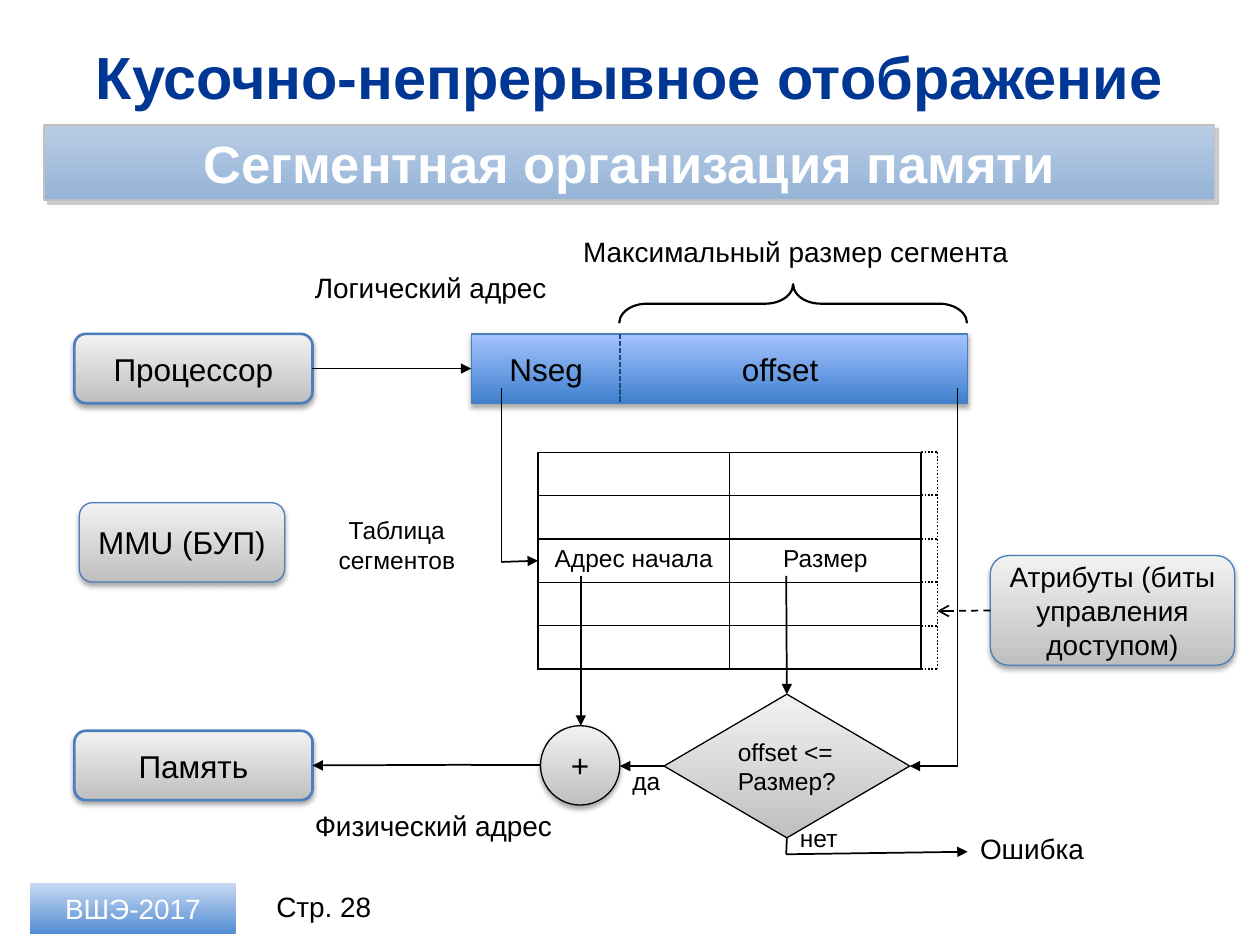
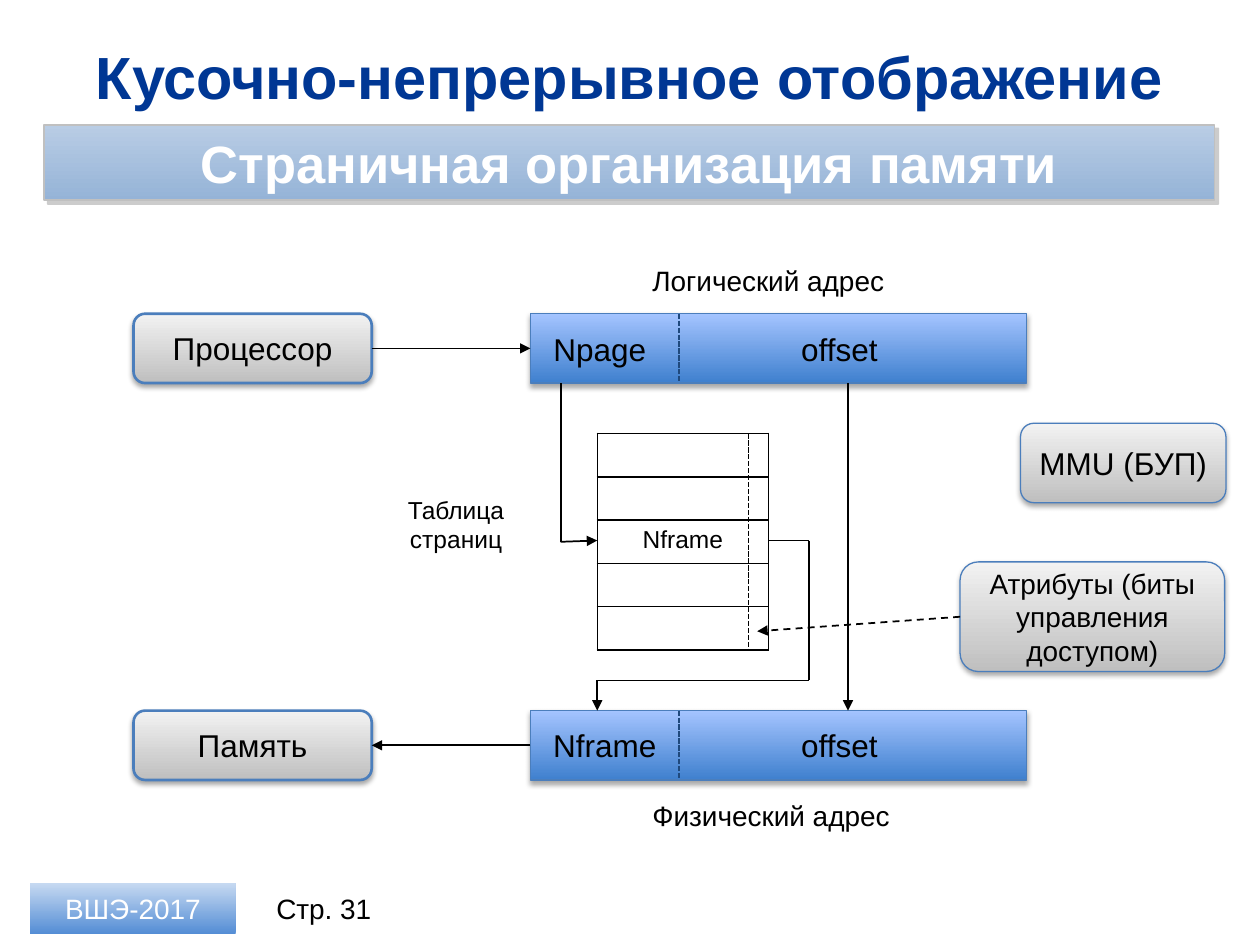
from dataclasses import dataclass
from itertools import pairwise

from lxml import etree
from pptx import Presentation
from pptx import util as u
from pptx.dml.color import RGBColor
from pptx.enum import dml, shapes, text
from pptx.oxml.ns import qn
from pptx.shapes.autoshape import Shape
from pptx.shapes.connector import Connector
from pptx.slide import Slide

PX = 9144  # 100 px to the inch
FONT = "Arial"
BLACK = RGBColor(0x00, 0x00, 0x00)
WHITE = RGBColor(0xFF, 0xFF, 0xFF)
NAVY = RGBColor(0x00, 0x37, 0x94)
DIVIDER = RGBColor(0x1F, 0x49, 0x7D)
OUTLINE = RGBColor(0x4B, 0x7E, 0xBC)
SILVER = RGBColor(0xC0, 0xC0, 0xC0)
# Gradients run from bottom to top
GREY_FADE = (RGBColor(0xBF, 0xBF, 0xBF), RGBColor(0xF2, 0xF2, 0xF2))
BLUE_FADE = (RGBColor(0x3F, 0x80, 0xCE), RGBColor(0xA4, 0xC4, 0xFF))
BAND_FADE = (RGBColor(0x95, 0xB3, 0xD7), RGBColor(0xB9, 0xCD, 0xE5))
FOOTER_FADE = (RGBColor(0x55, 0x8E, 0xD5), RGBColor(0xC6, 0xD9, 0xF1))

LEFT, CENTER = text.PP_ALIGN.LEFT, text.PP_ALIGN.CENTER
TOP_SIDE, LEFT_SIDE, BOTTOM_SIDE, RIGHT_SIDE = range(4)
KIND = shapes.MSO_SHAPE
DASH = dml.MSO_LINE
Point = tuple[int, int]


@dataclass(frozen=True)
class Shadow:
    color: str
    opacity: int
    blur: float
    distance: float
    angle: int


SOFT = Shadow("000000", 35, 3.1, 1.8, 90)
HARD = Shadow("808080", 40, 0, 3, 45)


@dataclass(frozen=True)
class Node:
    caption: str
    x: int
    y: int
    w: int
    h: int
    size: int = 18
    kind: KIND = KIND.ROUNDED_RECTANGLE
    fade: tuple[RGBColor, RGBColor] = GREY_FADE
    outline: RGBColor | None = OUTLINE
    weight: float = 0.75
    shadow: Shadow | None = SOFT
    color: RGBColor = BLACK
    bold: bool = False
    align: text.PP_ALIGN = CENTER


@dataclass(frozen=True)
class Label:
    caption: str
    x: int
    y: int
    w: int
    h: int = 37
    size: int = 16
    align: text.PP_ALIGN = LEFT


def px(*lengths: int) -> list[u.Emu]:
    return [u.Emu(length * PX) for length in lengths]


def write(frame, caption: str, size: int, color=BLACK, bold=False, align=LEFT) -> None:
    paragraph = frame.paragraphs[0]
    paragraph.alignment = align
    for number, line in enumerate(caption.split("\n")):
        if number:
            paragraph.add_line_break()
        run = paragraph.add_run()
        run.text = line
        run.font.name, run.font.size = FONT, u.Pt(size)
        run.font.bold, run.font.color.rgb = bold, color


def cast_shadow(shape: Shape, shadow: Shadow) -> None:
    effects = shape._element.spPr.find(qn("a:effectLst"))
    outer = etree.SubElement(
        effects, qn("a:outerShdw"), blurRad=str(u.Pt(shadow.blur)),
        dist=str(u.Pt(shadow.distance)), dir=str(shadow.angle * 60000),
        algn="ctr", rotWithShape="0")
    color = etree.SubElement(outer, qn("a:srgbClr"), val=shadow.color)
    etree.SubElement(color, qn("a:alpha"), val=str(shadow.opacity * 1000))


def draw_node(slide: Slide, node: Node) -> Shape:
    shape = slide.shapes.add_shape(node.kind, *px(node.x, node.y, node.w, node.h))
    shape.fill.gradient()
    shape.fill.gradient_angle = 90
    for stop, color in zip(shape.fill.gradient_stops, node.fade):
        stop.color.rgb = color
    if node.outline is None:
        shape.line.fill.background()
    else:
        shape.line.color.rgb = node.outline
        shape.line.width = u.Pt(node.weight)
    shape.shadow.inherit = False
    if node.shadow:
        cast_shadow(shape, node.shadow)
    if node.caption:
        shape.text_frame.vertical_anchor = text.MSO_ANCHOR.MIDDLE
        write(shape.text_frame, node.caption, node.size, node.color, node.bold, node.align)
    return shape


def draw_label(slide: Slide, label: Label, anchor=text.MSO_ANCHOR.TOP) -> None:
    frame = slide.shapes.add_textbox(*px(label.x, label.y, label.w, label.h)).text_frame
    frame.word_wrap = True
    frame.vertical_anchor = anchor
    write(frame, label.caption, label.size, align=label.align)


def draw_line(slide: Slide, start: Point, end: Point, head: str = "",
              dash: DASH | None = None, color: RGBColor = BLACK) -> Connector:
    line = slide.shapes.add_connector(shapes.MSO_CONNECTOR.STRAIGHT, *px(*start, *end))
    line.line.color.rgb = color
    line.line.width = u.Pt(1)
    if dash:
        line.line.dash_style = dash
    if head:
        etree.SubElement(line.line._get_or_add_ln(), qn("a:tailEnd"), type=head)
    etree.SubElement(line._element.spPr, qn("a:effectLst"))
    return line


def draw_route(slide: Slide, *points: Point, head: str = "triangle") -> list[Connector]:
    """Chain straight lines through the points; only the last has a head."""
    legs = list(pairwise(points))
    return [draw_line(slide, *leg, head if leg is legs[-1] else "") for leg in legs]


def draw_rows(slide: Slide, caption: str, x: int, y: int, w: int) -> None:
    """A one-column table of five rows with the entry in the middle row."""
    table = slide.shapes.add_table(5, 1, *px(x, y, w, 172)).table
    table.first_row = table.horz_banding = False
    for number, row in enumerate(table.rows):
        cell = row.cells[0]
        if number == 2:
            write(cell.text_frame, caption, 14, align=CENTER)
        else:
            paragraph = cell.text_frame.paragraphs[0]._p
            etree.SubElement(paragraph, qn("a:endParaRPr"), sz="1400")
        properties = cell._tc.get_or_add_tcPr()
        for side in ("lnL", "lnR", "lnT", "lnB"):
            border = etree.SubElement(properties, qn(f"a:{side}"), w=str(u.Pt(1)))
            fill = etree.SubElement(border, qn("a:solidFill"))
            etree.SubElement(fill, qn("a:srgbClr"), val=str(BLACK))
        cell.fill.background()


def draw_address(slide: Slide, field: Label, x: int, y: int) -> Shape:
    """Address word: a named field and an offset, parted by a dashed line."""
    word = draw_node(slide, Node("", x, y, 394, 55, kind=KIND.RECTANGLE, fade=BLUE_FADE))
    draw_line(slide, (x + 118, y), (x + 118, y + 55), dash=DASH.SQUARE_DOT, color=DIVIDER)
    draw_label(slide, Label("offset", x + 205, field.y, 87, 40, 18))
    draw_label(slide, field)
    return word


def start_slide(prs, subtitle: str, page: int, page_top: int) -> Slide:
    """Title, subtitle band and footer."""
    slide = prs.slides.add_slide(prs.slide_layouts[5])
    title = slide.shapes.title
    title.left, title.top, title.width, title.height = px(35, 26, 929, 68)
    title.text_frame.vertical_anchor = text.MSO_ANCHOR.MIDDLE
    title.text_frame.auto_size = text.MSO_AUTO_SIZE.NONE
    write(title.text_frame, "Кусочно-непрерывное отображение", 34, NAVY, True, CENTER)
    draw_label(slide, Label(f"Стр. {page}", 203, page_top, 108, 40, align=CENTER),
               text.MSO_ANCHOR.MIDDLE)
    draw_node(slide, Node("ВШЭ-2017", 24, 701, 163, 40, 16, KIND.RECTANGLE, FOOTER_FADE,
                          outline=None, shadow=None, color=WHITE))
    draw_node(slide, Node(subtitle, 35, 99, 929, 60, 30, KIND.RECTANGLE, BAND_FADE,
                          SILVER, 1, HARD, WHITE, True))
    return slide


def draw_machine(slide: Slide, field: Label, table_name: str, x: int, y: int):
    """Processor, memory and logical address; returns memory and address."""
    processor, memory = [
        draw_node(slide, Node(caption, x, top, 189, 55, weight=1.5))
        for caption, top in (("Процессор", y), ("Память", y + 315))]
    address = draw_address(slide, field, x + 315, y)
    request = draw_line(slide, (x + 189, y + 27), (x + 315, y + 27), "triangle")
    request.begin_connect(processor, RIGHT_SIDE)
    request.end_connect(address, LEFT_SIDE)
    draw_label(slide, Label(f"Таблица\n{table_name}", x + 181, y + 139, 150, 57, 14, CENTER))
    return memory, address


def draw_control(slide: Slide, mmu: Point, attributes: Point, width: int,
                 target: Point, head: str) -> None:
    """MMU box and the attributes box with its dashed pointer."""
    draw_node(slide, Node("MMU (БУП)", *mmu, 163, 63))
    bits = draw_node(slide, Node("Атрибуты (биты управления доступом)",
                                 *attributes, width, 87, 16))
    pointer = draw_line(slide, attributes, target, head, DASH.DASH)
    pointer.begin_connect(bits, LEFT_SIDE)


def build_segments(prs) -> None:
    slide = start_slide(prs, "Сегментная организация памяти", 28, 699)
    memory, _ = draw_machine(
        slide, Label("Nseg", 390, 273, 87, 40, 18, CENTER), "сегментов", 59, 265)

    # Segment table with its dotted attribute column
    for caption, left in (("Адрес начала", 427), ("Размер", 579)):
        draw_rows(slide, caption, left, 359, 152)
    for number in range(6):
        level = 359 + round(number * 172 / 5)
        draw_line(slide, (731, level), (744, level), dash=DASH.ROUND_DOT)
    draw_line(slide, (744, 359), (744, 531), dash=DASH.ROUND_DOT)
    draw_control(slide, (63, 399), (786, 441), 194, (744, 485), "arrow")

    # Brace over the offset
    brace = slide.shapes.add_shape(KIND.RIGHT_BRACE, *px(614, 103, 31, 276))
    brace.rotation = 270
    brace.adjustments[0], brace.adjustments[1] = 0.71, 0.5
    brace.fill.background()
    brace.line.color.rgb, brace.line.width = BLACK, u.Pt(1.25)
    brace.shadow.inherit = False

    # Size check and adder
    check = draw_node(slide, Node("offset <=\nРазмер?", 527, 551, 195, 114, 14, KIND.DIAMOND,
                                  outline=BLACK, shadow=None, align=LEFT))
    check.text_frame.word_wrap = False
    draw_node(slide, Node("+", 429, 576, 63, 63, kind=KIND.OVAL, outline=BLACK))

    # Flow
    draw_route(slide, (398, 308), (398, 446), (427, 445))
    draw_route(slide, (461, 457), (461, 576))
    draw_route(slide, (624, 457), (624, 551))[-1].end_connect(check, TOP_SIDE)
    draw_route(slide, (760, 308), (760, 608), (722, 608))[-1].end_connect(check, RIGHT_SIDE)
    draw_route(slide, (527, 608), (492, 608))[0].begin_connect(check, LEFT_SIDE)
    draw_route(slide, (429, 607), (374, 607), (248, 607))[-1].end_connect(memory, RIGHT_SIDE)
    failure = draw_route(slide, (624, 665), (624, 678), (768, 676))
    failure[0].begin_connect(check, BOTTOM_SIDE)

    for label in (
        Label("Логический адрес", 240, 210, 213),
        Label("Физический адрес", 240, 637, 213),
        Label("Максимальный размер сегмента", 453, 181, 362),
        Label("да", 492, 603, 47, 34, 14),
        Label("нет", 625, 648, 55, 34, 14),
        Label("Ошибка", 768, 655, 110),
    ):
        draw_label(slide, label)


def build_pages(prs) -> None:
    slide = start_slide(prs, "Страничная организация памяти", 31, 701)
    memory, _ = draw_machine(
        slide, Label("Npage", 429, 257, 94, 40, 18, CENTER), "страниц", 106, 249)
    physical = draw_address(
        slide, Label("Nframe", 429, 571, 102, 40, 18, CENTER), 421, 564)

    # Page table with its attribute column
    draw_rows(slide, "Nframe", 474, 344, 136)
    draw_line(slide, (594, 344), (594, 515), dash=DASH.SQUARE_DOT)
    draw_control(slide, (810, 336), (762, 446), 210, (601, 501), "triangle")

    # Flow
    draw_route(slide, (445, 304), (445, 430), (474, 429))
    draw_route(slide, (610, 429), (642, 429), (642, 540), (474, 540), (474, 564))
    draw_route(slide, (673, 304), (673, 564))
    access = draw_line(slide, (421, 591), (295, 591), "triangle")
    access.begin_connect(physical, LEFT_SIDE)
    access.end_connect(memory, RIGHT_SIDE)

    for caption, top in (("Логический адрес", 204), ("Физический адрес", 629)):
        draw_label(slide, Label(caption, 508, top, 213))


def main() -> None:
    prs = Presentation()
    prs.slide_width, prs.slide_height = px(1000, 750)
    build_segments(prs)
    build_pages(prs)
    prs.save("out.pptx")


if __name__ == "__main__":
    main()
